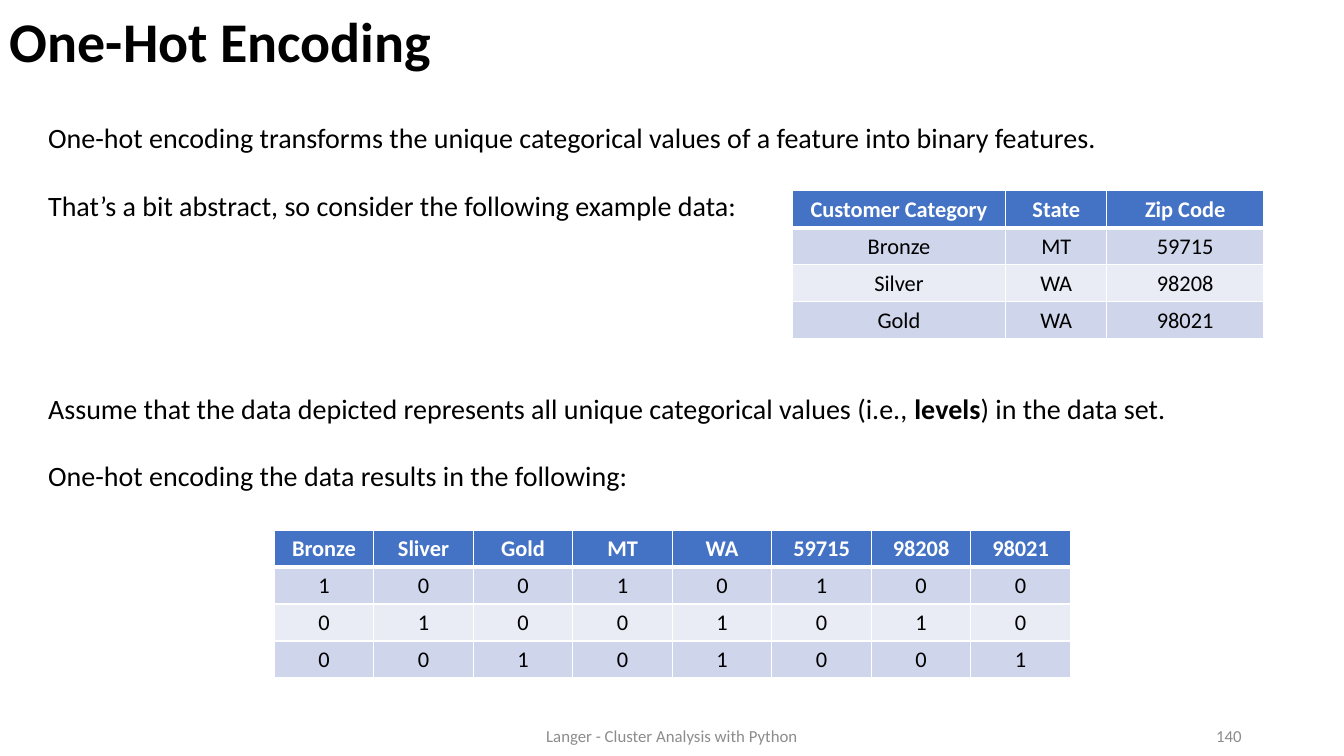
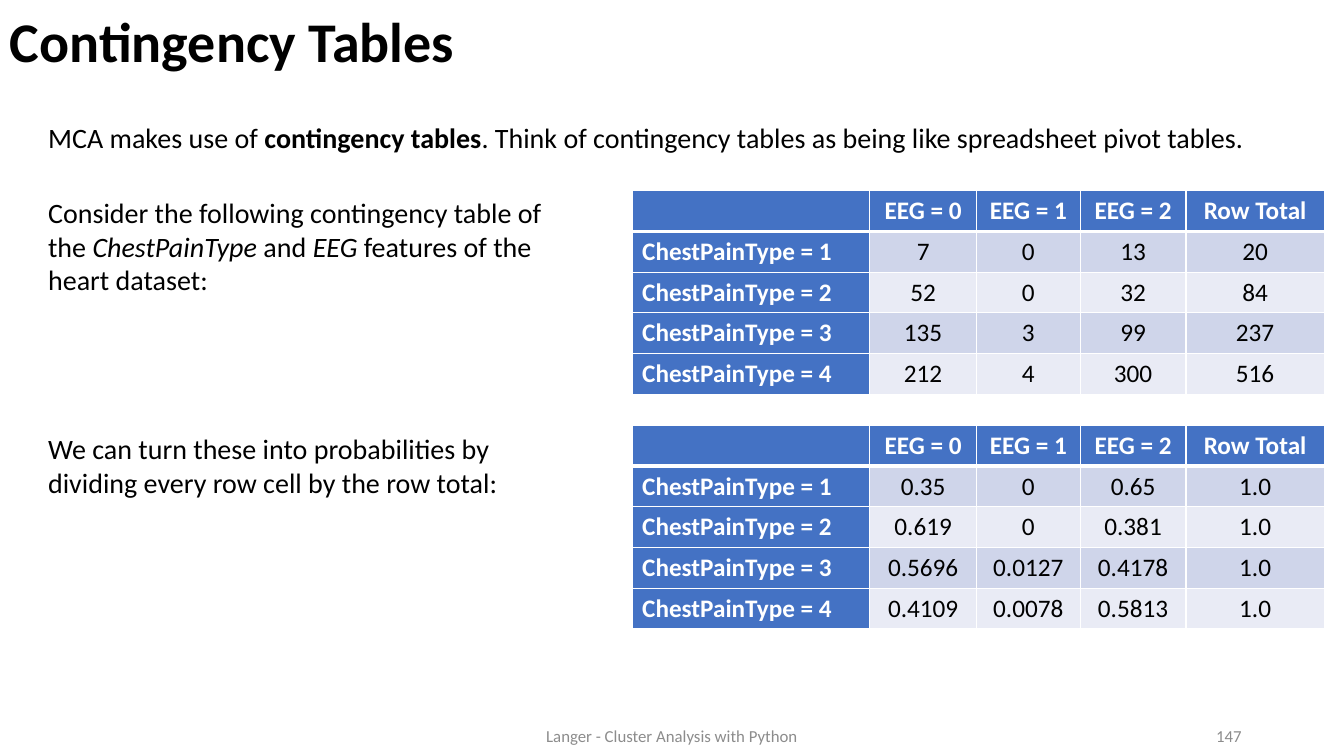
from dataclasses import dataclass

from lxml import etree
from pptx import Presentation
from pptx import util as u
from pptx.dml import color
from pptx.enum import text
from pptx.oxml import ns


@dataclass(frozen=True)
class Theme:
    font: str = "Calibri"
    ink: str = "000000"
    muted: str = "8C8C8C"
    paper: str = "FFFFFF"
    accent: str = "4472C4"
    bands: tuple = ("CFD5EA", "E9EBF5")
    title_size: int = 40
    body_size: int = 20
    footer_size: int = 12
    blank_line: float = 24.2
    thin: int = 1
    thick: int = 3


LEFT, CENTER, RIGHT = text.PP_ALIGN.LEFT, text.PP_ALIGN.CENTER, text.PP_ALIGN.RIGHT
COLUMNS, ROWS = 32, 18
MARGIN = 0.91
BODY_TOP = 2.76
TABLE_TOP = 4.54
FOOTER_TOP = 17.04
FOOTER = "Langer - Cluster Analysis with Python"


class Deck:
    def __init__(self, theme):
        self.theme = theme
        self.presentation = Presentation()
        self.presentation.slide_width = u.Inches(13.33)
        self.presentation.slide_height = u.Inches(7.5)
        self.slide = None

    def across(self, columns):
        return round(self.presentation.slide_width * columns / COLUMNS)

    def down(self, rows):
        return round(self.presentation.slide_height * rows / ROWS)

    def start(self, title, number):
        theme = self.theme
        self.slide = self.presentation.slides.add_slide(self.presentation.slide_layouts[6])
        heading = self.frame(0, 0.05, 25.54, 2, text.MSO_ANCHOR.MIDDLE).paragraphs[0]
        heading.line_spacing = 0.9
        self.run(heading, title, theme.title_size, theme.ink, "b")
        self.footer(10.6, 10.8, FOOTER, CENTER)
        self.footer(22.6, 7.2, str(number), RIGHT)

    def footer(self, left, width, words, alignment):
        frame = self.frame(left, FOOTER_TOP, width, 0.96, text.MSO_ANCHOR.MIDDLE)
        paragraph = frame.paragraphs[0]
        paragraph.alignment = alignment
        self.run(paragraph, words, self.theme.footer_size, self.theme.muted)

    def frame(self, left, top, width, height, anchor=text.MSO_ANCHOR.TOP):
        shape = self.slide.shapes.add_textbox(
            self.across(left), self.down(top), self.across(width), self.down(height))
        shape.text_frame.word_wrap = True
        shape.text_frame.vertical_anchor = anchor
        return shape.text_frame

    def run(self, paragraph, words, size, ink, style=""):
        run = paragraph.add_run()
        run.text = words
        font = run.font
        font.name = self.theme.font
        font.size = u.Pt(size)
        font.bold = "b" in style
        font.italic = "i" in style
        font.color.rgb = color.RGBColor.from_string(ink)

    def body(self, top, width, height, *paragraphs):
        frame = self.frame(MARGIN, top, width, height)
        for index, (blank_lines, runs) in enumerate(paragraphs):
            paragraph = frame.add_paragraph() if index else frame.paragraphs[0]
            if blank_lines:
                paragraph.space_before = u.Pt(blank_lines * self.theme.blank_line)
            for words, style in runs:
                self.run(paragraph, words, self.theme.body_size, self.theme.ink, style)

    def border(self, cell, side, width):
        properties = cell._tc.get_or_add_tcPr()
        line = etree.SubElement(properties, ns.qn(f"a:ln{side}"), w=str(u.Pt(width)))
        fill = etree.SubElement(line, ns.qn("a:solidFill"))
        etree.SubElement(fill, ns.qn("a:srgbClr"), val=self.theme.paper)

    def cell(self, cell, words, row, is_head, alignment, size):
        theme = self.theme
        for side in "LRTB":
            under_head = (row, side) in ((0, "B"), (1, "T"))
            self.border(cell, side, theme.thick if under_head else theme.thin)
        cell.fill.solid()
        cell.fill.fore_color.rgb = color.RGBColor.from_string(
            theme.accent if is_head else theme.bands[(row - 1) % 2])
        paragraph = cell.text_frame.paragraphs[0]
        paragraph.alignment = alignment
        if words:
            self.run(paragraph, words, size, theme.paper if is_head else theme.ink,
                     "b" if is_head else "")

    def table(self, left, top, widths, row_height, size, records, row_heads=False):
        table = self.slide.shapes.add_table(
            len(records), len(widths), self.across(left), self.down(top),
            self.across(sum(widths)), self.down(row_height * len(records))).table
        table.first_col = row_heads
        for column, width in zip(table.columns, widths):
            column.width = self.across(width)
        for row, record in enumerate(records):
            table.rows[row].height = self.down(row_height)
            for column, words in enumerate(record):
                in_head_column = row_heads and column == 0
                self.cell(table.cell(row, column), words, row, row == 0 or in_head_column,
                          LEFT if in_head_column else CENTER, size)


def one_hot_encoding(deck):
    deck.start("One-Hot Encoding", 140)
    deck.body(
        BODY_TOP, 28.66, 9.12,
        (0, [("One-hot encoding transforms the unique categorical values of a feature "
              "into binary features.", "")]),
        (1, [("That’s a bit abstract, so consider the following example data:", "")]),
        (5, [("Assume that the data depicted represents all unique categorical values "
              "(i.e., ", ""), ("levels", "b"), (") in the data set.", "")]),
        (1, [("One-hot encoding the data results in the following:", "")]))
    deck.table(18.86, TABLE_TOP, [5.09, 2.4, 3.74], 0.88, 16, [
        ["Customer Category", "State", "Zip Code"],
        ["Bronze", "MT", "59715"],
        ["Silver", "WA", "98208"],
        ["Gold", "WA", "98021"]])
    deck.table(6.53, 12.62, [2.37] * 8, 0.88, 16, [
        ["Bronze", "Sliver", "Gold", "MT", "WA", "59715", "98208", "98021"],
        "10010100", "01001010", "00101001"])


def contingency_tables(deck):
    deck.start("Contingency Tables", 147)
    deck.body(
        BODY_TOP, 29.26, 1.06,
        (0, [("MCA makes use of ", ""), ("contingency tables", "b"),
             (". Think of contingency tables as being like spreadsheet pivot tables.", "")]))
    deck.body(
        TABLE_TOP, 13.13, 7.51,
        (0, [("Consider the following contingency table of the ", ""),
             ("ChestPainType", "i"), (" and ", ""), ("EEG", "i"),
             (" features of the heart dataset:", "")]),
        (4, [("We can turn these into probabilities by dividing every row cell by the "
              "row total:", "")]))
    counts = [["7", "0", "13", "20"], ["52", "0", "32", "84"],
              ["135", "3", "99", "237"], ["212", "4", "300", "516"]]
    shares = [["0.35", "0", "0.65", "1.0"], ["0.619", "0", "0.381", "1.0"],
              ["0.5696", "0.0127", "0.4178", "1.0"], ["0.4109", "0.0078", "0.5813", "1.0"]]
    header = ["", "EEG = 0", "EEG = 1", "EEG = 2", "Row Total"]
    for top, values in ((TABLE_TOP, counts), (10.13, shares)):
        records = [[f"ChestPainType = {kind}", *row] for kind, row in enumerate(values, 1)]
        deck.table(15.05, top, [5.66, 2.54, 2.47, 2.52, 3.29], 0.97, 18,
                   [header, *records], row_heads=True)


def main():
    deck = Deck(Theme())
    one_hot_encoding(deck)
    contingency_tables(deck)
    deck.presentation.save("out.pptx")


if __name__ == "__main__":
    main()
